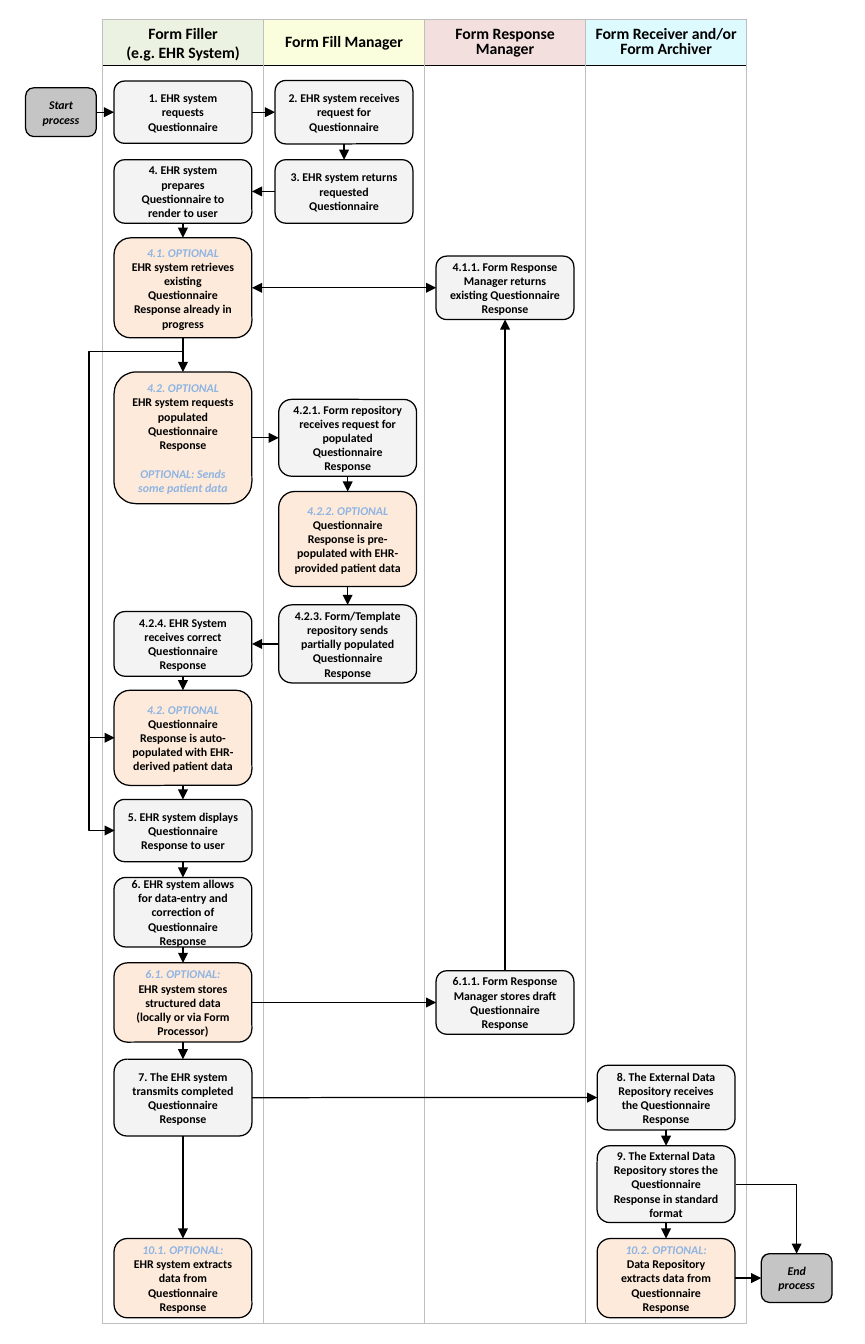
"""Build a swimlane flow of the form filling process."""
import pptx
import pptx.util
import pptx.dml.color
import pptx.enum.shapes
import pptx.enum.text
import pptx.oxml

LANES = [
    ("Form Filler\v(e.g. EHR System)", "EBF1DE", 1.0),
    ("Form Fill Manager", "FBFEDA", 0.8),
    ("Form Response Manager", "F2DCDB", 0.8),
    ("Form Receiver and/or Form Archiver", "DAFAFE", 0.8),
]

# key: (centre x, centre y, height, paragraphs)
STEPS = {
    "start": (0.5, 0.92, 0.4, ["Start process"]),
    "1": (1.5, 0.92, 0.51, ["1. EHR system requests Questionnaire"]),
    "2": (2.82, 0.92, 0.52, ["2. EHR system receives request for Questionnaire"]),
    "3": (2.82, 1.57, 0.52, ["3. EHR system returns requested Questionnaire"]),
    "4": (1.5, 1.57, 0.52, ["4. EHR system prepares Questionnaire to render to user"]),
    "4.1": (1.5, 2.36, 0.82, ["4.1. OPTIONAL", "EHR system retrieves existing Questionnaire Response already in progress"]),
    "4.1.1": (4.14, 2.36, 0.52, ["4.1.1. Form Response Manager returns existing Questionnaire Response"]),
    "4.2": (1.5, 3.59, 1.08, ["4.2. OPTIONAL", "EHR system requests populated Questionnaire Response", "OPTIONAL: Sends some patient data"]),
    "4.2.1": (2.85, 3.59, 0.63, ["4.2.1. Form repository receives request for populated Questionnaire Response"]),
    "4.2.2": (2.85, 4.42, 0.78, ["4.2.2. OPTIONAL", "Questionnaire Response is pre-populated with EHR-provided patient data"]),
    "4.2.3": (2.85, 5.28, 0.64, ["4.2.3. Form/Template repository sends partially populated Questionnaire Response"]),
    "4.2.4": (1.5, 5.28, 0.53, ["4.2.4. EHR System receives correct Questionnaire Response"]),
    "auto": (1.5, 6.05, 0.78, ["4.2. OPTIONAL", "Questionnaire Response is auto-populated with EHR-derived patient data"]),
    "5": (1.5, 6.81, 0.51, ["5. EHR system displays Questionnaire Response to user"]),
    "6": (1.5, 7.48, 0.57, ["6. EHR system allows for data-entry and correction of Questionnaire Response"]),
    "6.1": (1.5, 8.22, 0.65, ["6.1. OPTIONAL:", "EHR system stores structured data (locally or via Form Processor)"]),
    "6.1.1": (4.14, 8.22, 0.52, ["6.1.1. Form Response Manager stores draft Questionnaire Response"]),
    "7": (1.5, 9.0, 0.63, ["7. The EHR system transmits completed Questionnaire Response"]),
    "8": (5.46, 9.0, 0.53, ["8. The External Data Repository receives the Questionnaire Response"]),
    "9": (5.46, 9.71, 0.63, ["9. The External Data Repository stores the Questionnaire Response in standard format"]),
    "10.1": (1.5, 10.48, 0.65, ["10.1. OPTIONAL:", "EHR system extracts data from Questionnaire Response"]),
    "10.2": (5.46, 10.48, 0.65, ["10.2. OPTIONAL:", "Data Repository extracts data from Questionnaire Response"]),
    "end": (6.53, 10.48, 0.4, ["End process"]),
}
TOP, LEFT, BELOW, RIGHT = range(4)
LINKS = {
    (BELOW, TOP): [("2", "3"), ("4", "4.1"), ("4.1", "4.2"), ("4.2.1", "4.2.2"),
                   ("4.2.2", "4.2.3"), ("4.2.4", "auto"), ("auto", "5"), ("5", "6"),
                   ("6", "6.1"), ("6.1", "7"), ("7", "10.1"), ("8", "9"), ("9", "10.2")],
    (RIGHT, LEFT): [("start", "1"), ("1", "2"), ("4.1", "4.1.1"), ("4.2", "4.2.1"),
                    ("6.1", "6.1.1"), ("7", "8"), ("10.2", "end")],
    (LEFT, RIGHT): [("3", "4"), ("4.2.3", "4.2.4")],
    (TOP, BELOW): [("6.1.1", "4.1.1")],
}
TWOWAY = [("4.1", "4.1.1")]
# start, end, preset, share of the width before the turn
BENDS = [
    ((1.5, 2.88), (0.94, 6.05), "bentConnector3", 1.375),
    ((0.73, 5.88), (0.94, 6.81), "bentConnector3", 0),
    ((6.03, 9.71), (6.53, 10.28), "bentConnector2", None),
]
THEME = {"font": "Calibri", "head": 9.3, "body": 7, "line": 0.75, "ink": "000000",
         "note": "8EB4E3", "step": "F2F2F2", "option": "FDEADA", "edge": "BFBFBF"}
FRAME = {"word_wrap": True, "vertical_anchor": pptx.enum.text.MSO_ANCHOR.MIDDLE}
INSET = {"margin_left": 0.08, "margin_right": 0.08, "margin_top": 0.04, "margin_bottom": 0.04}
KINDS = pptx.enum.shapes.MSO_SHAPE
ROUTES = pptx.enum.shapes.MSO_CONNECTOR
NS = 'xmlns:a="http://schemas.openxmlformats.org/drawingml/2006/main"'
inch = pptx.util.Inches


def rgb(code):
    """Turn a hex code into a colour."""
    return pptx.dml.color.RGBColor.from_string(code)


def node(text):
    """Parse one drawing element."""
    return pptx.oxml.parse_xml(text)


def style(line, code):
    """Set the colour and width of a line."""
    line.color.rgb = rgb(code)
    line.width = pptx.util.Pt(THEME["line"])


def block(slide, kind, area, fill, edge):
    """Add a plain shape, clear or slightly see-through."""
    shape = slide.shapes.add_shape(kind, *map(inch, area))
    shape.shadow.inherit = False
    style(shape.line, edge)
    if not fill:
        shape.fill.background()
        return shape
    shape.fill.solid()
    shape.fill.fore_color.rgb = rgb(fill)
    if fill != THEME["option"]:
        tint = shape.fill._xPr.find(".//{*}srgbClr")
        tint.append(node(f'<a:alpha {NS} val="90000"/>'))
    return shape


def write(shape, lines, size, space=1.0, slant=False):
    """Fill a shape with centred bold text."""
    frame = shape.text_frame
    for name, value in FRAME.items():
        setattr(frame, name, value)
    for name, value in INSET.items():
        setattr(frame, name, inch(value))
    for rank, text in enumerate(lines):
        para = frame.paragraphs[0] if rank == 0 else frame.add_paragraph()
        para.text = text
        para.alignment = pptx.enum.text.PP_ALIGN.CENTER
        para.line_spacing = space
        note = "OPTIONAL" in text
        if note and rank:
            para.space_before = pptx.util.Pt(8.5)
        look = {"name": THEME["font"], "size": pptx.util.Pt(size),
                "bold": True, "italic": note or slant}
        for run in para.runs:
            for name, value in look.items():
                setattr(run.font, name, value)
            run.font.color.rgb = rgb(THEME["note" if note else "ink"])


def arrow(slide, route, start, end, both=False):
    """Add a connector with an arrowhead."""
    link = slide.shapes.add_connector(route, *map(inch, start + end))
    style(link.line, THEME["ink"])
    for tip in ["headEnd", "tailEnd"] if both else ["tailEnd"]:
        link.line._get_or_add_ln().append(node(f'<a:{tip} {NS} type="triangle"/>'))
    link._element.spPr.append(node(f"<a:effectLst {NS}/>"))
    return link


def main():
    """Draw lanes, steps and arrows, then save."""
    deck = pptx.Presentation()
    deck.slide_width, deck.slide_height = inch(7.09), inch(11.02)
    slide = deck.slides.add_slide(deck.slide_layouts[6])

    wide = 1.32
    for rank, (title, fill, space) in enumerate(LANES):
        head = block(slide, KINDS.RECTANGLE, (0.84 + rank * wide, 0.16, wide, 0.38), fill, THEME["ink"])
        write(head, [title], THEME["head"], space)
    for rank in range(len(LANES)):
        block(slide, KINDS.RECTANGLE, (0.84 + rank * wide, 0.16, wide, 10.69), None, THEME["edge"])

    boxes = {}
    for key, (mid, row, tall, lines) in STEPS.items():
        stop = key in ("start", "end")
        broad = 0.58 if stop else 1.13
        fill = THEME["edge" if stop else "option" if len(lines) > 1 else "step"]
        area = (mid - broad / 2, row - tall / 2, broad, tall)
        boxes[key] = block(slide, KINDS.ROUNDED_RECTANGLE, area, fill, THEME["ink"])
        write(boxes[key], lines, THEME["body"], slant=stop)

    for (out, into), pairs in LINKS.items():
        for pair in pairs:
            link = arrow(slide, ROUTES.STRAIGHT, (0, 0), (0, 0), pair in TWOWAY)
            link.begin_connect(boxes[pair[0]], out)
            link.end_connect(boxes[pair[1]], into)

    for start, end, preset, share in BENDS:
        geom = arrow(slide, ROUTES.ELBOW, start, end)._element.spPr.find("{*}prstGeom")
        geom.set("prst", preset)
        if share is not None:
            turn = f'<a:gd {NS} name="adj1" fmla="val {round(share * 100000)}"/>'
            geom.find("{*}avLst").append(node(turn))

    deck.save("out.pptx")


if __name__ == "__main__":
    main()
